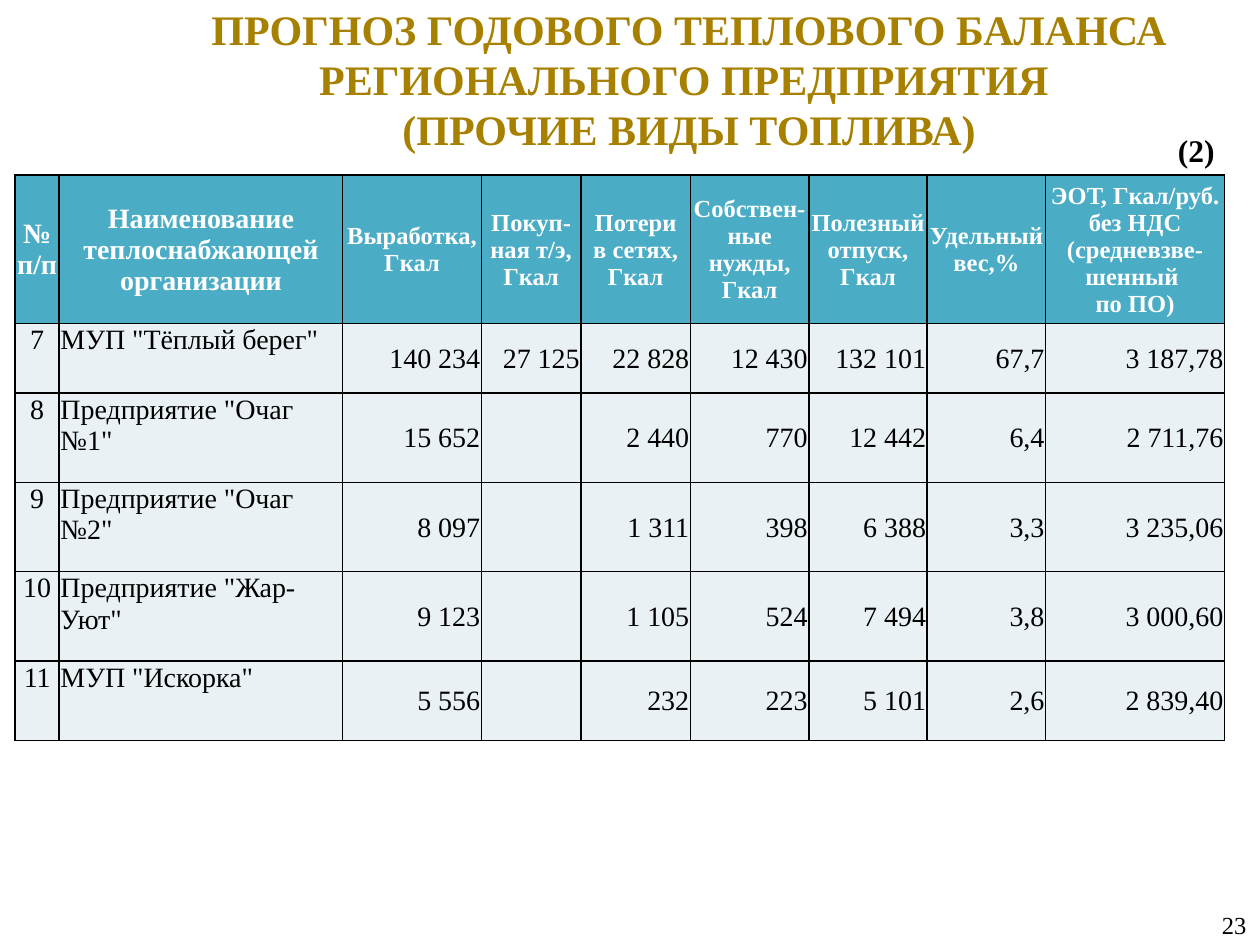
from lxml.etree import SubElement
from pptx import Presentation
from pptx.dml.color import RGBColor
from pptx.enum.text import MSO_ANCHOR, PP_ALIGN
from pptx.oxml.ns import qn
from pptx.util import Inches, Pt

FONT = "Times New Roman"
HUES = {"gold": "A88000", "ink": "000000", "white": "FFFFFF",
        "head": "4BACC6", "body": "E9F1F5"}
COLS = [0.35, 2.25, 1.1, 0.79, 0.87, 0.94, 0.94, 0.94, 1.42]
ROWS = [1.17, 0.55, 0.71, 0.71, 0.71, 0.63]
HEADS = ["№ п/п", "Наименование теплоснабжающей организации",
         "Выработка, Гкал", "Покуп-ная т/э, Гкал", "Потери\vв сетях, Гкал",
         "Собствен-ные нужды, Гкал", "Полезный отпуск, Гкал",
         "Удельный вес,%", "ЭОТ, Гкал/руб. без НДС (средневзве-шенный \vпо ПО)"]
DATA = [
    ["7", 'МУП "Тёплый берег"', "140 234", "27 125", "22 828", "12 430",
     "132 101", "67,7", "3 187,78"],
    ["8", 'Предприятие "Очаг №1"', "15 652", "", "2 440", "770",
     "12 442", "6,4", "2 711,76"],
    ["9", 'Предприятие "Очаг №2"', "8 097", "", "1 311", "398",
     "6 388", "3,3", "3 235,06"],
    ["10", 'Предприятие "Жар-Уют"', "9 123", "", "1 105", "524",
     "7 494", "3,8", "3 000,60"],
    ["11", 'МУП "Искорка"', "5 556", "", "232", "223",
     "5 101", "2,6", "2 839,40"],
]


def write(frame, text, size, hue, bold=False, align=PP_ALIGN.LEFT):
    frame.text = text
    para = frame.paragraphs[0]
    para.alignment = align
    font = para.font
    font.name, font.size, font.bold = FONT, Pt(size), bold
    font.color.rgb = RGBColor.from_string(HUES[hue])


def add_text(slide, box, text, size, hue, anchor=MSO_ANCHOR.TOP, **look):
    frame = slide.shapes.add_textbox(*map(Inches, box)).text_frame
    frame.word_wrap = True
    frame.vertical_anchor = anchor
    write(frame, text, size, hue, **look)


def add_edges(cell):
    props = cell._tc.get_or_add_tcPr()
    for spot, side in enumerate(("lnL", "lnR", "lnT", "lnB")):
        line = props.makeelement(qn(f"a:{side}"), {"w": str(Pt(1))})
        fill = SubElement(line, qn("a:solidFill"))
        SubElement(fill, qn("a:srgbClr"), val=HUES["ink"])
        props.insert(spot, line)


def fill_cell(cell, row, col, text):
    top = row == 0
    cell.margin_left = cell.margin_right = cell.margin_top = Inches(0.01)
    cell.margin_bottom = 0
    cell.fill.solid()
    cell.fill.fore_color.rgb = RGBColor.from_string(
        HUES["head" if top else "body"])
    add_edges(cell)
    middle = top or col > 1
    cell.vertical_anchor = MSO_ANCHOR.MIDDLE if middle else MSO_ANCHOR.TOP
    if top or col == 0:
        align = PP_ALIGN.CENTER
    else:
        align = PP_ALIGN.LEFT if col == 1 else PP_ALIGN.RIGHT
    write(cell.text_frame, text, 14 if top and col > 1 else 16,
          "white" if top else "ink", top, align)


def add_balance(slide, left, top):
    box = map(Inches, (left, top, sum(COLS), sum(ROWS)))
    table = slide.shapes.add_table(len(ROWS), len(COLS), *box).table
    table.horz_banding = False
    for col, width in zip(table.columns, COLS):
        col.width = Inches(width)
    for row, height in zip(table.rows, ROWS):
        row.height = Inches(height)
    for r, line in enumerate([HEADS] + DATA):
        for c, text in enumerate(line):
            fill_cell(table.cell(r, c), r, c, text)


def main():
    deck = Presentation()
    deck.slide_width, deck.slide_height = Inches(10), Inches(7.5)
    slide = deck.slides.add_slide(deck.slide_layouts[6])
    add_text(slide, (9.6, 7.17, 0.4, 0.34), "23", 14, "ink",
             MSO_ANCHOR.MIDDLE)
    add_balance(slide, 0.12, 1.39)
    add_text(slide, (1.22, -0.03, 8.5, 1.31),
             "ПРОГНОЗ ГОДОВОГО ТЕПЛОВОГО БАЛАНСА РЕГИОНАЛЬНОГО ПРЕДПРИЯТИЯ "
             "\v(ПРОЧИЕ ВИДЫ ТОПЛИВА)", 24, "gold", MSO_ANCHOR.MIDDLE,
             bold=True, align=PP_ALIGN.CENTER)
    add_text(slide, (9.25, 0.99, 0.55, 0.4), "(2)", 18, "ink",
             bold=True, align=PP_ALIGN.JUSTIFY)
    deck.save("out.pptx")


if __name__ == "__main__":
    main()
